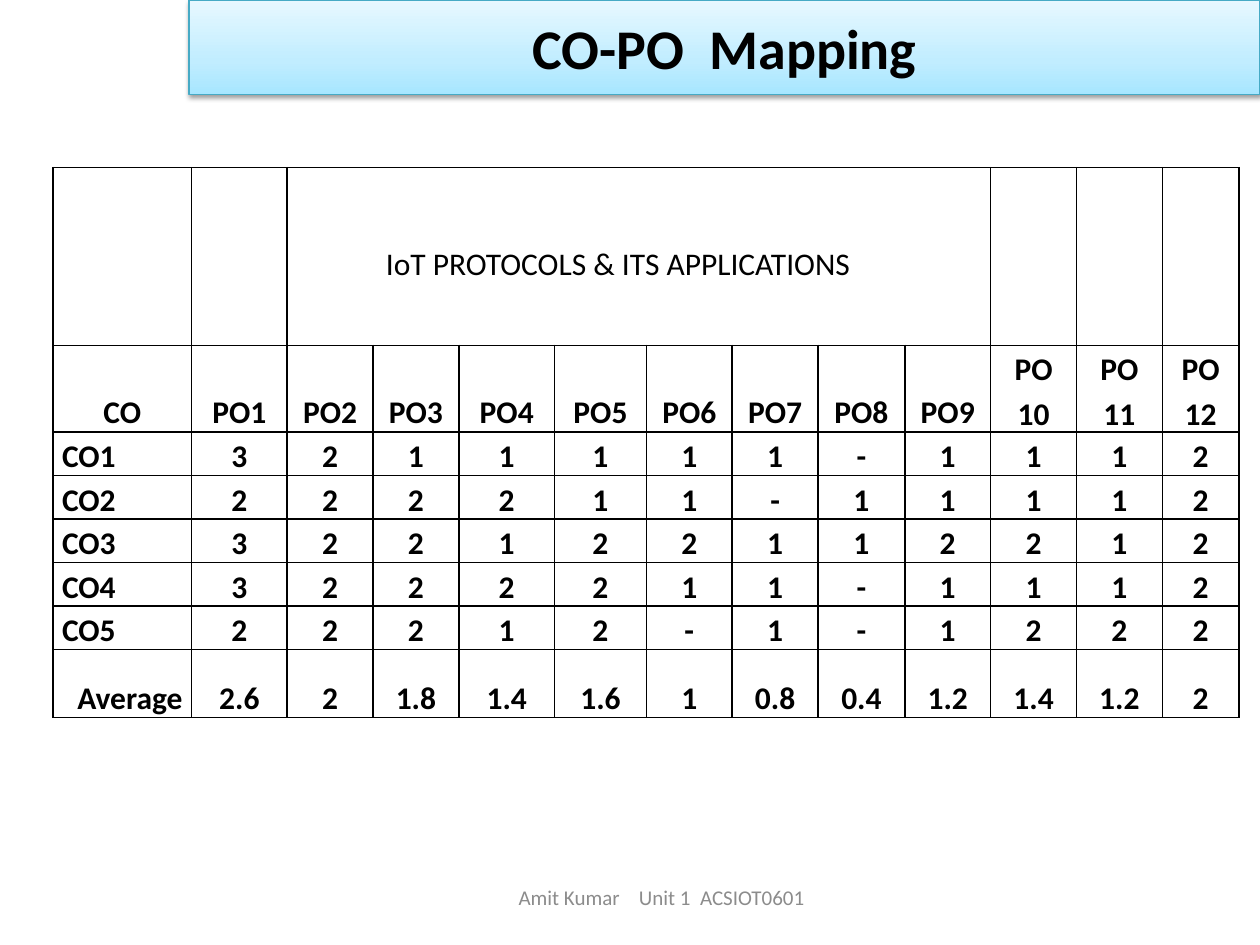
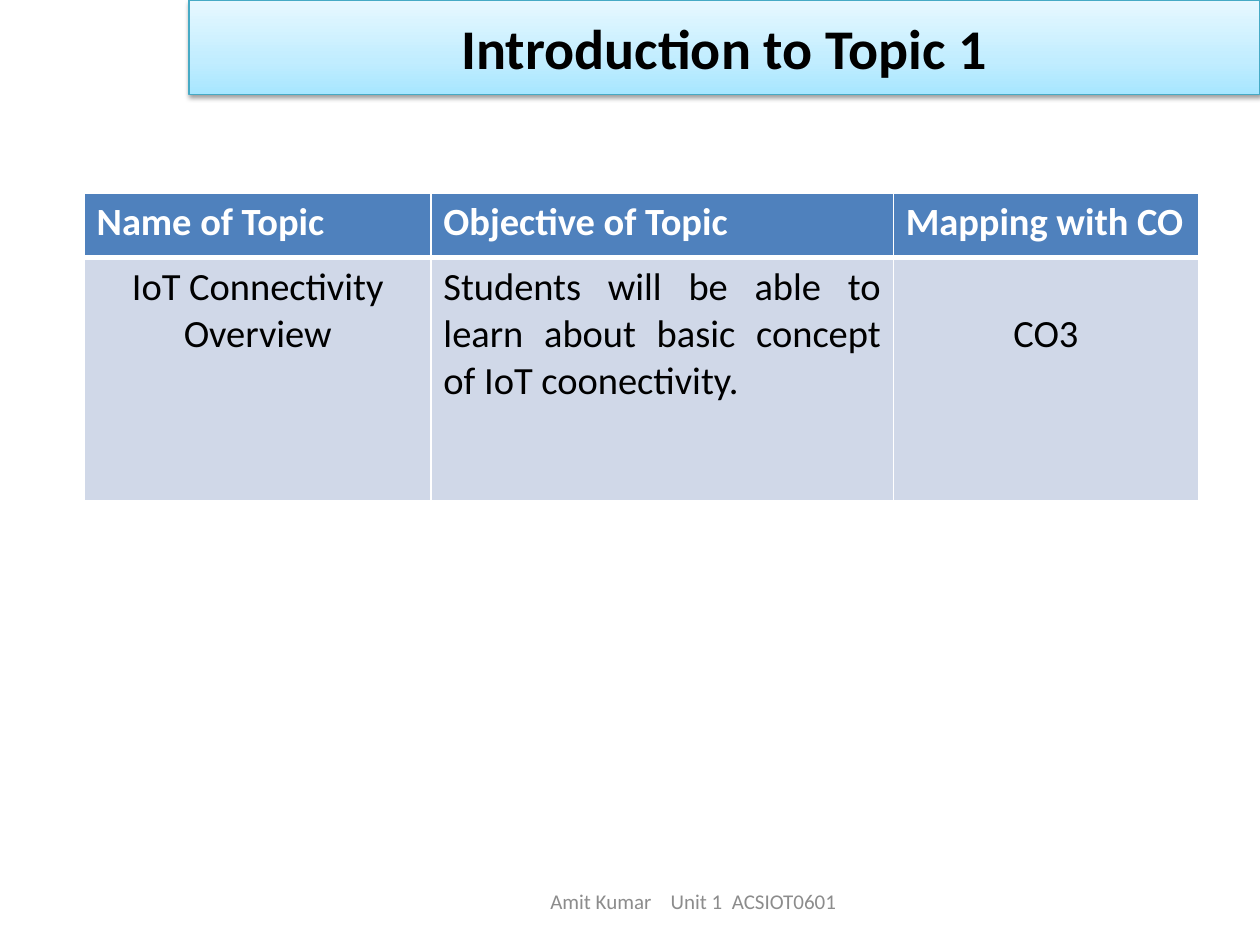
from pptx import Presentation
from pptx.dml.color import RGBColor
from pptx.enum.shapes import MSO_SHAPE as Shape
from pptx.enum.text import MSO_ANCHOR as Anchor, PP_ALIGN as Align
from pptx.oxml import parse_xml
from pptx.oxml.ns import nsdecls, qn
from pptx.util import Cm, Pt

FONT = "Calibri"
SPACE_WIDTH = 0.226
COLOURS = {
    "black": "000000",
    "white": "FFFFFF",
    "footer": "8C8C8C",
    "banner_low": "A7E6FF",
    "banner_mid": "C1EDFF",
    "banner_high": "E7F8FF",
    "banner_line": "46AAC5",
    "header": "4F81BD",
    "body": "D0D8E8",
}
FOOTER = ["Amit Kumar", 4, "Unit 1", 2, "ACSIOT0601"]
COURSE = "IoT PROTOCOLS & ITS APPLICATIONS"
OUTCOMES = [
    "CO PO1 PO2 PO3 PO4 PO5 PO6 PO7 PO8 PO9".split() + ["PO 10", "PO 11", "PO 12"],
    "CO1 3 2 1 1 1 1 1 - 1 1 1 2".split(),
    "CO2 2 2 2 2 1 1 - 1 1 1 1 2".split(),
    "CO3 3 2 2 1 2 2 1 1 2 2 1 2".split(),
    "CO4 3 2 2 2 2 1 1 - 1 1 1 2".split(),
    "CO5 2 2 2 1 2 - 1 - 1 2 2 2".split(),
    "Average 2.6 2 1.8 1.4 1.6 1 0.8 0.4 1.2 1.4 1.2 2".split(),
]
OUTCOME_WIDTHS = [2.79, 1.93, 1.73, 1.73, 1.93, 1.85, 1.73, 1.73, 1.75, 1.73, 1.73, 1.73, 1.55]
OUTCOME_HEIGHTS = [3.58, 1.68] + [0.86] * 5 + [1.37]
TOPIC_HEADINGS = ["Name of Topic", "Objective of Topic", "Mapping with CO"]
TOPIC = [
    ("IoT Connectivity Overview", Align.CENTER),
    ("Students will be able to learn about basic concept of IoT coonectivity.", Align.JUSTIFY),
    ("CO3", Align.CENTER),
]


def write(frame, parts, size, colour="black", bold=False, align=Align.CENTER, spacing=None):
    """Write runs into the first paragraph; a number is a gap that many spaces wide."""
    para = frame.paragraphs[0]
    para.alignment = align
    para.line_spacing = spacing
    for part in parts:
        span = para.add_run()
        span.font.name = FONT
        span.font.size = Pt(size)
        span.font.bold = bold
        span.font.color.rgb = RGBColor.from_string(COLOURS[colour])
        if isinstance(part, int):
            span.text = " "
            widening = round((part - 1) * SPACE_WIDTH * size * 100)
            span._r.get_or_add_rPr().set("spc", str(widening))
        else:
            span.text = part


def add_banner(page, title):
    """Add the shaded title band."""
    band = page.shapes.add_shape(Shape.RECTANGLE, Cm(3.81), 0, Cm(21.59), Cm(1.9))
    stops = "".join(
        f'<a:gs pos="{place}"><a:srgbClr val="{COLOURS[name]}"/></a:gs>'
        for place, name in ((0, "banner_low"), (35000, "banner_mid"), (100000, "banner_high"))
    )
    properties = band._element.spPr
    properties.find(qn("a:prstGeom")).addnext(parse_xml(
        f'<a:gradFill {nsdecls("a")} rotWithShape="1"><a:gsLst>{stops}</a:gsLst>'
        '<a:lin ang="16200000" scaled="0"/></a:gradFill>'
    ))
    band.line.color.rgb = RGBColor.from_string(COLOURS["banner_line"])
    band.line.width = Pt(0.75)
    band.shadow.inherit = False
    properties.find(qn("a:effectLst")).append(parse_xml(
        f'<a:outerShdw {nsdecls("a")} blurRad="{Pt(3.1)}" dist="{Pt(1.6)}" dir="5400000" '
        f'rotWithShape="0"><a:srgbClr val="{COLOURS["black"]}"><a:alpha val="38000"/>'
        '</a:srgbClr></a:outerShdw>'
    ))
    band.text_frame.vertical_anchor = Anchor.MIDDLE
    write(band.text_frame, title, 32, bold=True)


def add_footer(page, left, top):
    """Add the centred footer line."""
    box = page.shapes.add_textbox(Cm(left), Cm(top), Cm(13.97), Cm(1.02))
    box.text_frame.word_wrap = True
    box.text_frame.vertical_anchor = Anchor.MIDDLE
    write(box.text_frame, FOOTER, 12, "footer")


def add_grid(page, left, top, widths, heights):
    """Add a plain table with the given column widths and row heights."""
    grid = page.shapes.add_table(
        len(heights), len(widths), Cm(left), Cm(top), Cm(sum(widths)), Cm(sum(heights))
    ).table
    grid.first_row = grid.horz_banding = False
    for column, width in zip(grid.columns, widths):
        column.width = Cm(width)
    for row, height in zip(grid.rows, heights):
        row.height = Cm(height)
    return grid


def style_cell(cell, line, fill=None, top=1, bottom=1):
    """Set the borders and the fill of a cell."""
    properties = cell._tc.get_or_add_tcPr()
    for side, width in (("L", 1), ("R", 1), ("T", top), ("B", bottom)):
        properties.append(parse_xml(
            f'<a:ln{side} {nsdecls("a")} w="{Pt(width)}"><a:solidFill>'
            f'<a:srgbClr val="{COLOURS[line]}"/></a:solidFill></a:ln{side}>'
        ))
    if fill:
        cell.fill.solid()
        cell.fill.fore_color.rgb = RGBColor.from_string(COLOURS[fill])
    else:
        cell.fill.background()


def set_margins(cell, side, edge):
    """Set the side margins and the top and bottom margins of a cell."""
    cell.margin_left = cell.margin_right = Cm(side)
    cell.margin_top = cell.margin_bottom = Cm(edge)


def add_outcome_table(page):
    """Add the table of course outcomes against programme outcomes."""
    grid = add_grid(page, 1.07, 3.38, OUTCOME_WIDTHS, OUTCOME_HEIGHTS)
    for cell in grid.iter_cells():
        style_cell(cell, "black")
        set_margins(cell, 0.18, 0)
        cell.vertical_anchor = Anchor.BOTTOM
    course = grid.cell(0, 2)
    course.merge(grid.cell(0, 9))
    course.margin_right = Cm(1.02)
    course.margin_bottom = Cm(1.24)
    write(course.text_frame, [COURSE], 18, spacing=1.15)
    label_aligns = [Align.CENTER] + [Align.LEFT] * 5 + [Align.RIGHT]
    for row, (values, label_align) in enumerate(zip(OUTCOMES, label_aligns), 1):
        for column, value in enumerate(values):
            align = Align.CENTER if column else label_align
            write(grid.cell(row, column).text_frame, [value], 18,
                  bold=True, align=align, spacing=1.15)


def add_topic_table(page):
    """Add the table with the topic, its objective and its outcome."""
    grid = add_grid(page, 1.7, 3.89, [6.99, 9.32, 6.15], [1.3, 4.9])
    for column, (heading, (text, align)) in enumerate(zip(TOPIC_HEADINGS, TOPIC)):
        head, body = grid.cell(0, column), grid.cell(1, column)
        style_cell(head, "white", "header", bottom=3)
        style_cell(body, "white", "body", top=3)
        for cell in (head, body):
            set_margins(cell, 0.25, 0.13)
        write(head.text_frame, [heading], 22, "white", bold=True, align=Align.LEFT)
        write(body.text_frame, [text], 22, align=align)
    grid.cell(1, 2).margin_top = Cm(1.07)


def add_page(deck, title, footer_left, footer_top):
    """Add a blank page with its banner and footer."""
    page = deck.slides.add_slide(deck.slide_layouts[6])
    add_banner(page, title)
    add_footer(page, footer_left, footer_top)
    return page


def main():
    """Build and save the deck."""
    deck = Presentation()
    deck.slide_width, deck.slide_height = Cm(25.4), Cm(19.05)
    add_outcome_table(add_page(deck, ["CO-PO", 2, "Mapping"], 6.35, 17.58))
    add_topic_table(add_page(deck, ["Introduction to Topic 1"], 6.99, 17.65))
    deck.save("out.pptx")


if __name__ == "__main__":
    main()
